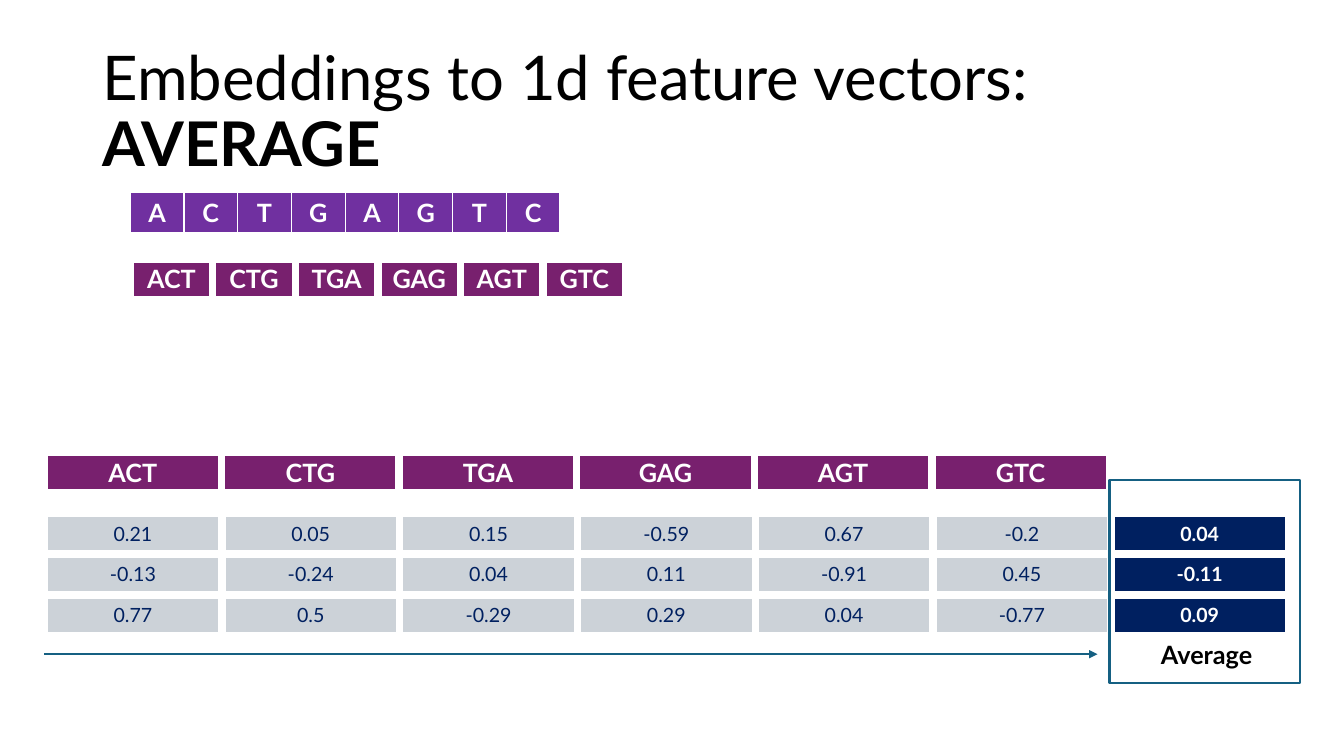
from lxml.etree import SubElement
from pptx import Presentation
from pptx.dml.color import RGBColor
from pptx.enum.shapes import MSO_CONNECTOR, MSO_SHAPE
from pptx.enum.text import MSO_ANCHOR, MSO_AUTO_SIZE, PP_ALIGN
from pptx.oxml.ns import qn
from pptx.util import Pt

BLACK = RGBColor(0x00, 0x00, 0x00)
WHITE = RGBColor(0xFF, 0xFF, 0xFF)
VIOLET = RGBColor(0x70, 0x30, 0xA0)
PLUM = RGBColor(0x78, 0x20, 0x6E)
NAVY = RGBColor(0x00, 0x20, 0x60)
GREY = RGBColor(0xCC, 0xD2, 0xD8)
TEAL = RGBColor(0x15, 0x60, 0x82)

SEQUENCE = "ACTGAGTC"
KMER_SIZE = 3
KMERS = [SEQUENCE[start:start + KMER_SIZE] for start in range(len(SEQUENCE) - KMER_SIZE + 1)]
EMBEDDINGS = [
    ["0.21", "0.05", "0.15", "-0.59", "0.67", "-0.2", "0.04"],
    ["-0.13", "-0.24", "0.04", "0.11", "-0.91", "0.45", "-0.11"],
    ["0.77", "0.5", "-0.29", "0.29", "0.04", "-0.77", "0.09"],
]


class SlideBuilder:
    font_name = "Lato"
    line_width = 1.5

    def __init__(self, page):
        self.page = page

    def style_font(self, font, size, color, bold=False):
        font.name = self.font_name
        font.size = Pt(size)
        font.bold = bold
        font.color.rgb = color

    def title(self, left, top, width, height, plain, strong):
        box = self.page.shapes.title
        box.left, box.top, box.width, box.height = Pt(left), Pt(top), Pt(width), Pt(height)
        frame = box.text_frame
        frame.word_wrap = True
        frame.vertical_anchor = MSO_ANCHOR.MIDDLE
        para = frame.paragraphs[0]
        para.alignment = PP_ALIGN.LEFT
        para.line_spacing = 0.9
        for text, bold in ((plain, False), (strong, True)):
            span = para.add_run()
            span.text = text
            self.style_font(span.font, 44, BLACK, bold)

    def border(self, cell, width):
        properties = cell._tc.get_or_add_tcPr()
        for side in ("a:lnL", "a:lnR", "a:lnT", "a:lnB"):
            line = SubElement(properties, qn(side), w=str(Pt(width)))
            fill = SubElement(line, qn("a:solidFill"))
            SubElement(fill, qn("a:srgbClr"), val=str(WHITE))

    def table(self, left, top, column_width, row_height, rows, fill, border,
              size=18, color=WHITE, bold=True, highlight_last=False):
        count = len(rows[0])
        table = self.page.shapes.add_table(
            len(rows), count, Pt(left), Pt(top),
            Pt(column_width * count), Pt(row_height * len(rows))).table
        table.first_row = False
        table.horz_banding = False
        for column in table.columns:
            column.width = Pt(column_width)
        for row_index, values in enumerate(rows):
            for column_index, value in enumerate(values):
                highlighted = highlight_last and column_index == count - 1
                cell = table.cell(row_index, column_index)
                self.border(cell, border)
                cell.fill.solid()
                cell.fill.fore_color.rgb = NAVY if highlighted else fill
                cell.vertical_anchor = MSO_ANCHOR.MIDDLE
                cell.text = value
                para = cell.text_frame.paragraphs[0]
                para.alignment = PP_ALIGN.CENTER
                self.style_font(para.font, size, WHITE if highlighted else color, bold or highlighted)

    def arrow(self, start_x, end_x, y):
        arrow = self.page.shapes.add_connector(
            MSO_CONNECTOR.STRAIGHT, Pt(start_x), Pt(y), Pt(end_x), Pt(y))
        arrow.line.color.rgb = TEAL
        arrow.line.width = Pt(self.line_width)
        SubElement(arrow.line._get_or_add_ln(), qn("a:tailEnd"), type="triangle")
        SubElement(arrow._element.spPr, qn("a:effectLst"))

    def outline(self, left, top, width, height):
        frame = self.page.shapes.add_shape(
            MSO_SHAPE.RECTANGLE, Pt(left), Pt(top), Pt(width), Pt(height))
        frame.shadow.inherit = False
        frame.fill.background()
        frame.line.color.rgb = TEAL
        frame.line.width = Pt(self.line_width)

    def label(self, left, top, width, height, text):
        box = self.page.shapes.add_textbox(Pt(left), Pt(top), Pt(width), Pt(height))
        frame = box.text_frame
        frame.word_wrap = False
        frame.auto_size = MSO_AUTO_SIZE.SHAPE_TO_FIT_TEXT
        frame.text = text
        self.style_font(frame.paragraphs[0].font, 18, BLACK, True)


def main():
    deck = Presentation()
    deck.slide_width, deck.slide_height = Pt(960), Pt(540)
    builder = SlideBuilder(deck.slides.add_slide(deck.slide_layouts[5]))
    builder.title(66, 28.75, 828, 104.4, "Embeddings to 1d feature vectors: ", "AVERAGE")
    builder.table(93, 137.5, 38.4, 28.8, [list(SEQUENCE)], VIOLET, 1)
    builder.table(31.5, 323.3, 126.85, 28.8, [KMERS], PLUM, 6)
    builder.table(31.5, 366.5, 127, 29.2, EMBEDDINGS, GREY, 6,
                  size=14, color=NAVY, bold=False, highlight_last=True)
    builder.arrow(31.5, 784, 467.3)
    builder.outline(792.5, 342.7, 136, 145.4)
    builder.label(822.2, 452.9, 80, 28.8, "Average")
    builder.table(93, 185, 59, 28.8, [KMERS], PLUM, 6)
    deck.save("out.pptx")


if __name__ == "__main__":
    main()
